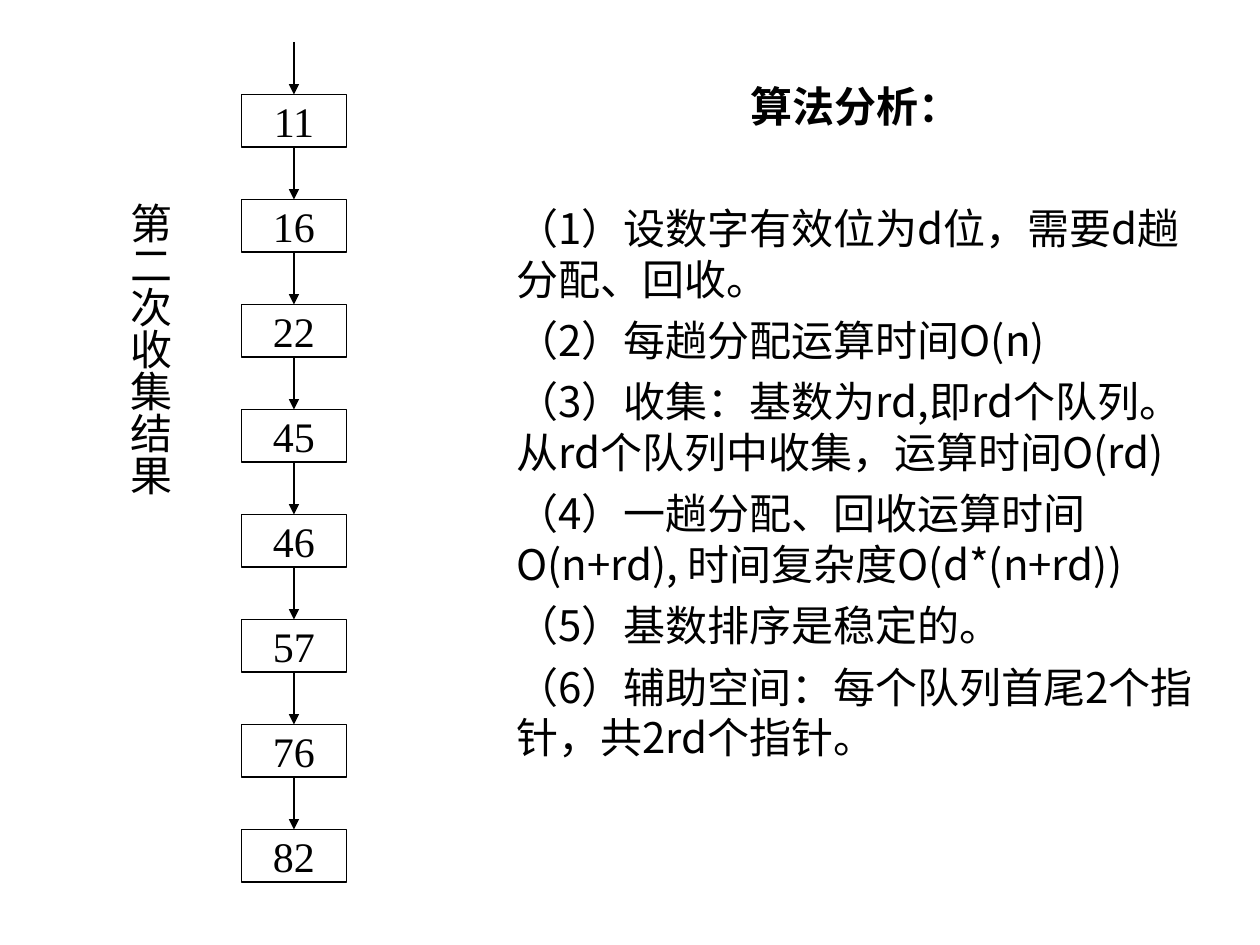
"""Build the slide with the second radix-sort collection and its analysis."""
from pptx import Presentation
from pptx.dml.color import RGBColor
from pptx.enum.shapes import MSO_CONNECTOR as CONN, MSO_SHAPE as SHAPE
from pptx.enum.text import MSO_ANCHOR as ANCHOR, PP_ALIGN as ALIGN
from pptx.oxml.ns import qn
from pptx.util import Emu, Pt
from lxml.etree import SubElement

SERIF, SANS = "Times New Roman", "Noto Sans CJK SC"
NUMBERS = [11, 16, 22, 45, 46, 57, 76, 82]
ITEMS = [
    "（1）设数字有效位为d位，需要d趟分配、回收。",
    "（2）每趟分配运算时间O(n)",
    "（3）收集：基数为rd,即rd个队列。从rd个队列中收集，运算时间O(rd)",
    "（4）一趟分配、回收运算时间O(n+rd), 时间复杂度O(d*(n+rd))",
    "（5）基数排序是稳定的。",
    "（6）辅助空间：每个队列首尾2个指针，共2rd个指针。",
]
BOX_X, BOX_Y, BOX_W, BOX_H, STEP = 184, 72, 80, 40, 80


def px(*values):
    return [Emu(v * 9525) for v in values]


def color(value):
    return RGBColor.from_string(value)


class Sheet:
    ink, size, line_width, leading = "000000", 24, 0.75, 29

    def __init__(self, slide):
        self.s = slide

    def run(self, p, text, font, bold=False):
        r = p.add_run()
        r.text = text
        r.font.size, r.font.bold = Pt(self.size), bold
        r.font.color.rgb = color(self.ink)
        r.font.name = font
        SubElement(r.font._element, qn("a:ea")).set("typeface", SANS)

    def stroke(self, line):
        line.color.rgb, line.width = color(self.ink), Pt(self.line_width)

    def node(self, x, y, w, h, text):
        sp = self.s.shapes.add_shape(SHAPE.RECTANGLE, *px(x, y, w, h))
        sp.shadow.inherit = False
        sp.fill.background()
        self.stroke(sp.line)
        tf = sp.text_frame
        tf.word_wrap, tf.vertical_anchor = False, ANCHOR.MIDDLE
        p = tf.paragraphs[0]
        p.alignment = ALIGN.CENTER
        self.run(p, text, SERIF)

    def arrow(self, x1, y1, x2, y2):
        cn = self.s.shapes.add_connector(CONN.STRAIGHT, *px(x1, y1, x2, y2))
        self.stroke(cn.line)
        SubElement(cn.line._get_or_add_ln(), qn("a:tailEnd")).set("type", "triangle")
        SubElement(cn.element.spPr, qn("a:effectLst"))

    def text(self, x, y, w, h, paragraphs, font, vertical=False):
        sp = self.s.shapes.add_textbox(*px(x, y, w, h))
        tf = sp.text_frame
        tf.word_wrap = True
        if vertical:
            sp.element.txBody.bodyPr.set("vert", "eaVert")
            tf.margin_left, tf.margin_right, tf.margin_top, tf.margin_bottom = px(5, 5, 10, 10)
        for i, (text, align, before, bold) in enumerate(paragraphs):
            p = tf.add_paragraph() if i else tf.paragraphs[0]
            p.alignment, p.line_spacing = align, Pt(self.leading)
            p.space_before = Pt(before)
            self.run(p, text, font, bold)


def main():
    prs = Presentation()
    prs.slide_width, prs.slide_height = px(960, 720)
    sheet = Sheet(prs.slides.add_slide(prs.slide_layouts[6]))

    center = BOX_X + BOX_W // 2
    for i, number in enumerate(NUMBERS):
        y = BOX_Y + i * STEP
        sheet.node(BOX_X, y, BOX_W, BOX_H, str(number))
        sheet.arrow(center, y - STEP + BOX_H, center, y)

    sheet.text(81, 144, 58, 288, [("第二次收集结果", ALIGN.CENTER, 0, False)], SERIF, vertical=True)

    analysis = [("算法分析：", ALIGN.CENTER, 0, True)]
    analysis += [(item, ALIGN.LEFT, 6 if i else 41, False) for i, item in enumerate(ITEMS)]
    sheet.text(384, 56, 536, 565, analysis, SANS)
    prs.save("out.pptx")


if __name__ == "__main__":
    main()
